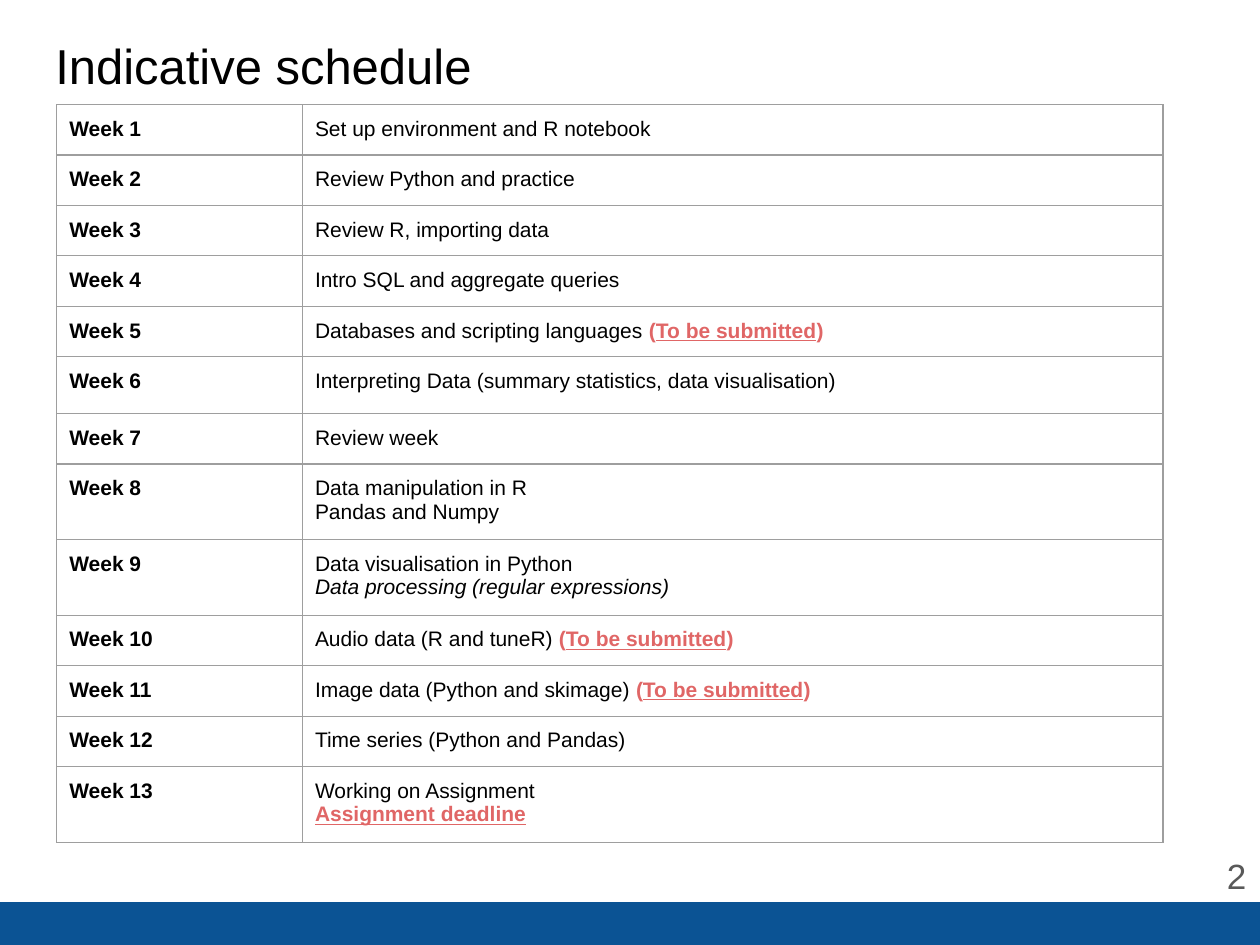
from dataclasses import dataclass

from lxml.etree import SubElement
from pptx import Presentation
from pptx.dml.color import RGBColor
from pptx.enum.shapes import MSO_SHAPE
from pptx.enum.text import MSO_ANCHOR, PP_ALIGN
from pptx.oxml.ns import qn
from pptx.util import Inches, Pt

COLOURS = {
    "text": "000000",
    "alert": "E06666",
    "number": "595959",
    "border": "9E9E9E",
    "band": "0B5394",
}
FONT = "Arial"
WIDTH, HEIGHT = 10, 7.5
INSET = Inches(0.1)
COLUMN_WIDTHS = (1.95, 6.83)
ROW_HEIGHT = 0.4


@dataclass(frozen=True)
class Span:
    text: str
    alert: bool = False
    underline: bool = False
    italic: bool = False


@dataclass(frozen=True)
class Week:
    lines: tuple[tuple[Span, ...], ...]
    height: float = ROW_HEIGHT


@dataclass(frozen=True)
class Label:
    text: str
    left: float
    top: float
    width: float
    height: float
    size: int
    colour: str
    anchor: MSO_ANCHOR = MSO_ANCHOR.TOP
    align: PP_ALIGN = PP_ALIGN.LEFT


def topics(*lines: str) -> Week:
    return Week(tuple((Span(line),) for line in lines))


def submission(topic: str) -> Week:
    return Week(((
        Span(topic + " "),
        Span("(", alert=True),
        Span("To be submitted", alert=True, underline=True),
        Span(")", alert=True),
    ),))


WEEKS = (
    topics("Set up environment and R notebook"),
    topics("Review Python and practice"),
    topics("Review R, importing data"),
    topics("Intro SQL and aggregate queries"),
    submission("Databases and scripting languages"),
    Week(((Span("Interpreting Data (summary statistics, data visualisation)"),),), 0.45),
    topics("Review week"),
    topics("Data manipulation in R", "Pandas and Numpy"),
    Week((
        (Span("Data visualisation in Python"),),
        (Span("Data processing (regular expressions)", italic=True),),
    )),
    submission("Audio data (R and tuneR)"),
    submission("Image data (Python and skimage)"),
    topics("Time series (Python and Pandas)"),
    Week((
        (Span("Working on Assignment"),),
        (Span("Assignment deadline", alert=True, underline=True),),
    )),
)

LABELS = (
    Label("Indicative schedule", 0.34, 0.18, 9.32, 0.83, 28, "text"),
    Label("2", 9.35, 6.66, 0.64, 0.57, 20, "number", MSO_ANCHOR.MIDDLE, PP_ALIGN.RIGHT),
)


def colour(name: str) -> RGBColor:
    return RGBColor.from_string(COLOURS[name])


def set_font(font, size: int, colour_name: str) -> None:
    font.name = FONT
    font.size = Pt(size)
    font.color.rgb = colour(colour_name)


def set_insets(target) -> None:
    target.margin_left = target.margin_right = INSET
    target.margin_top = target.margin_bottom = INSET


def draw_label(page, label: Label) -> None:
    box = page.shapes.add_textbox(
        *map(Inches, (label.left, label.top, label.width, label.height)))
    frame = box.text_frame
    frame.word_wrap = True
    frame.vertical_anchor = label.anchor
    set_insets(frame)
    para = frame.paragraphs[0]
    para.text = label.text
    para.alignment = label.align
    set_font(para.font, label.size, label.colour)


def draw_band(page) -> None:
    top = 7.16
    band = page.shapes.add_shape(
        MSO_SHAPE.RECTANGLE, 0, Inches(top), Inches(WIDTH), Inches(HEIGHT - top))
    band.shadow.inherit = False
    band.fill.solid()
    band.fill.fore_color.rgb = colour("band")
    band.line.fill.background()


def style_cell(cell) -> None:
    """Give a cell its insets, thin borders and no fill."""
    set_insets(cell)
    properties = cell._tc.get_or_add_tcPr()
    for side in ("a:lnL", "a:lnR", "a:lnT", "a:lnB"):
        line = SubElement(properties, qn(side), w=str(Pt(0.75)))
        fill = SubElement(line, qn("a:solidFill"))
        SubElement(fill, qn("a:srgbClr"), val=COLOURS["border"])
    cell.fill.background()


def write_lines(cell, lines: tuple[tuple[Span, ...], ...], bold: bool = False) -> None:
    frame = cell.text_frame
    for index, line in enumerate(lines):
        para = frame.add_paragraph() if index else frame.paragraphs[0]
        for span in line:
            run = para.add_run()
            run.text = span.text
            set_font(run.font, 12, "alert" if span.alert else "text")
            run.font.bold = bold or span.alert
            run.font.italic = span.italic
            run.font.underline = span.underline


def draw_schedule(page) -> None:
    total_height = sum(week.height for week in WEEKS)
    table = page.shapes.add_table(
        len(WEEKS), len(COLUMN_WIDTHS), Inches(0.45), Inches(0.83),
        Inches(sum(COLUMN_WIDTHS)), Inches(total_height)).table
    table.first_row = table.horz_banding = False
    for column, width in zip(table.columns, COLUMN_WIDTHS):
        column.width = Inches(width)
    for number, (row, week) in enumerate(zip(table.rows, WEEKS), start=1):
        row.height = Inches(week.height)
        name_cell, topic_cell = row.cells
        write_lines(name_cell, ((Span(f"Week {number}"),),), bold=True)
        write_lines(topic_cell, week.lines)
        for cell in (name_cell, topic_cell):
            style_cell(cell)


def main() -> None:
    deck = Presentation()
    deck.slide_width, deck.slide_height = Inches(WIDTH), Inches(HEIGHT)
    page = deck.slides.add_slide(deck.slide_layouts[6])
    draw_band(page)
    for label in LABELS:
        draw_label(page, label)
    draw_schedule(page)
    deck.save("out.pptx")


if __name__ == "__main__":
    main()
